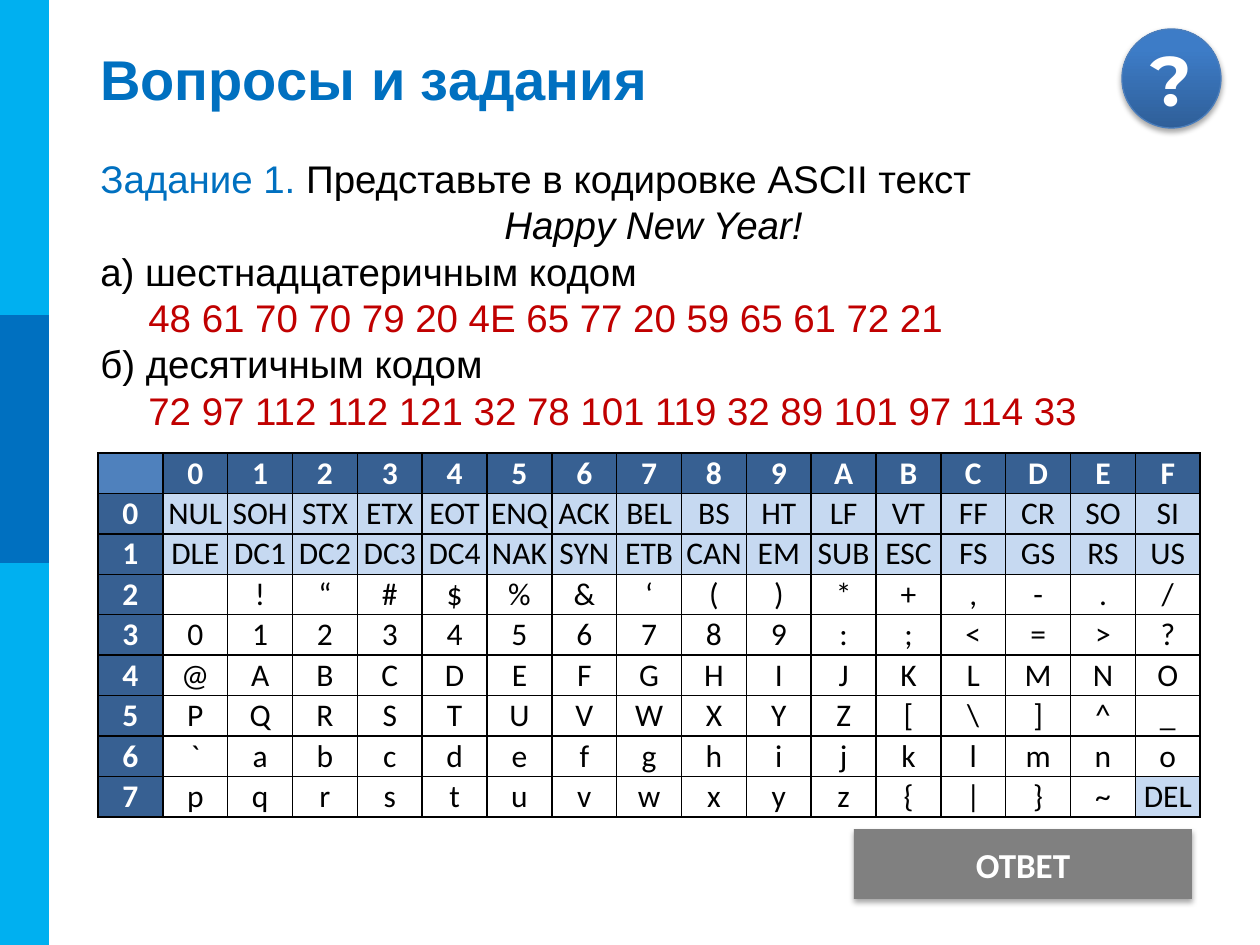
from lxml.etree import SubElement
from pptx import Presentation
from pptx.dml.color import RGBColor
from pptx.enum.shapes import MSO_SHAPE
from pptx.enum.text import MSO_ANCHOR, PP_ALIGN
from pptx.oxml.ns import qn
from pptx.util import Pt

EMU_PER_PX = 914400 / 126
BLUE, RED, BLACK, WHITE = "0070C0", "C00000", "000000", "FFFFFF"
NAVY, PALE, CORNER = "376092", "C6D9F1", "4F81BD"
LINE_HEIGHT = 26.4

HEX_DIGITS = "0123456789ABCDEF"
ASCII_ROWS = [
    "NUL SOH STX ETX EOT ENQ ACK BEL BS HT LF VT FF CR SO SI".split(),
    "DLE DC1 DC2 DC3 DC4 NAK SYN ETB CAN EM SUB ESC FS GS RS US".split(),
    [""] + list("!“#$%&‘()*+,-./"),
    list("0123456789:;<=>?"),
    list("@ABCDEFGHIJKLMNO"),
    list("PQRSTUVWXYZ[\\]^_"),
    list("`abcdefghijklmno"),
    list("pqrstuvwxyz{|}~") + ["DEL"],
]


def px(value):
    return round(value * EMU_PER_PX)


def color(value):
    return RGBColor.from_string(value)


class SlideBuilder:
    font_name = "Arial"
    table_font = "Calibri"

    def __init__(self, slide):
        self.slide = slide

    def style(self, font, size, tint, bold=False, name=None, italic=False):
        font.name = name or self.font_name
        font.size = Pt(size)
        font.bold = bold
        font.italic = italic
        font.color.rgb = color(tint)

    def shape(self, kind, left, top, width, height, fill):
        shape = self.slide.shapes.add_shape(kind, px(left), px(top), px(width), px(height))
        shape.shadow.inherit = False
        shape.fill.solid()
        shape.fill.fore_color.rgb = color(fill)
        shape.line.fill.background()
        return shape

    def drop_shadow(self, shape):
        effects = shape._element.spPr.find(qn("a:effectLst"))
        shadow = SubElement(effects, qn("a:outerShdw"), blurRad="40000", dist="23000",
                            dir="5400000", rotWithShape="0")
        tint = SubElement(shadow, qn("a:srgbClr"), val=BLACK)
        SubElement(tint, qn("a:alpha"), val="35000")

    def label(self, shape, text, size, name):
        text_frame = shape.text_frame
        text_frame.text = text
        text_frame.vertical_anchor = MSO_ANCHOR.MIDDLE
        paragraph = text_frame.paragraphs[0]
        paragraph.alignment = PP_ALIGN.CENTER
        self.style(paragraph.runs[0].font, size, WHITE, True, name)

    def text_box(self, left, top, width, height):
        shape = self.slide.shapes.add_textbox(px(left), px(top), px(width), px(height))
        shape.text_frame.word_wrap = True
        return shape.text_frame

    def title(self, text, left, top, width, height):
        text_frame = self.text_box(left, top, width, height)
        text_frame.vertical_anchor = MSO_ANCHOR.MIDDLE
        text_frame.text = text
        self.style(text_frame.paragraphs[0].runs[0].font, 32, BLUE, True)

    def lines(self, rows, left, top, width, height):
        text_frame = self.text_box(left, top, width, height)
        for index, (alignment, gap_lines, runs) in enumerate(rows):
            paragraph = text_frame.paragraphs[0] if index == 0 else text_frame.add_paragraph()
            paragraph.alignment = alignment
            paragraph.line_spacing = Pt(LINE_HEIGHT)
            if gap_lines:
                paragraph.space_before = Pt(LINE_HEIGHT * gap_lines)
            for text, tint, italic in runs:
                run = paragraph.add_run()
                run.text = text
                self.style(run.font, 22, tint, italic=italic)

    def cell(self, cell, text, tint, bold, fill):
        cell.margin_left = cell.margin_right = cell.margin_top = cell.margin_bottom = 0
        cell.vertical_anchor = MSO_ANCHOR.MIDDLE
        properties = cell._tc.get_or_add_tcPr()
        for side in ("lnL", "lnR", "lnT", "lnB"):
            border = SubElement(properties, qn("a:" + side), w=str(Pt(1)))
            border_fill = SubElement(border, qn("a:solidFill"))
            SubElement(border_fill, qn("a:srgbClr"), val=BLACK)
        if fill:
            cell.fill.solid()
            cell.fill.fore_color.rgb = color(fill)
        else:
            cell.fill.background()
        cell.text_frame.text = text
        paragraph = cell.text_frame.paragraphs[0]
        paragraph.alignment = PP_ALIGN.CENTER
        if paragraph.runs:
            self.style(paragraph.runs[0].font, 18, tint, bold, self.table_font)
        else:
            SubElement(paragraph._p, qn("a:endParaRPr"), sz="1800")

    def ascii_table(self, left, top, width, height):
        rows = [[""] + list(HEX_DIGITS)]
        rows += [[str(number)] + symbols for number, symbols in enumerate(ASCII_ROWS)]
        frame = self.slide.shapes.add_table(len(rows), len(rows[0]),
                                            px(left), px(top), px(width), px(height))
        for row_index, row in enumerate(rows):
            for column_index, text in enumerate(row):
                header = row_index == 0 or column_index == 0
                if header:
                    fill = NAVY if text else CORNER
                else:
                    fill = PALE if row_index <= 2 or text == "DEL" else None
                self.cell(frame.table.cell(row_index, column_index), text,
                          WHITE if header else BLACK, header, fill)

    def question_badge(self, left, top, size):
        badge = self.shape(MSO_SHAPE.OVAL, left, top, size, size, BLUE)
        badge.fill.gradient()
        badge.fill.gradient_angle = 90
        for stop, position, tint in zip(badge.fill.gradient_stops, (0, 0.8), ("2F5F99", "3D7CC7")):
            stop.position = position
            stop.color.rgb = color(tint)
        badge.line.color.rgb = color("4B7EBC")
        badge.line.width = Pt(0.75)
        self.drop_shadow(badge)
        self.label(badge, "?", 40, "Montserrat")

    def answer_button(self, left, top, width, height):
        button = self.shape(MSO_SHAPE.RECTANGLE, left, top, width, height, "808080")
        self.drop_shadow(button)
        self.label(button, "ОТВЕТ", 20, self.table_font)


def main():
    presentation = Presentation()
    presentation.slide_width = px(1260)
    presentation.slide_height = px(945)
    builder = SlideBuilder(presentation.slides.add_slide(presentation.slide_layouts[6]))

    builder.shape(MSO_SHAPE.RECTANGLE, 0, 0, 49, 945, "00B0F0")
    builder.shape(MSO_SHAPE.RECTANGLE, 0, 315, 49, 248, BLUE)
    builder.question_badge(1122, 29, 99)
    builder.title("Вопросы и задания", 88, 38, 1137, 81)
    builder.lines([
        (PP_ALIGN.JUSTIFY, 0, [("Задание 1. ", BLUE, False),
                               ("Представьте в кодировке ASCII текст", BLACK, False)]),
        (PP_ALIGN.CENTER, 0, [("Happy New Year!", BLACK, True)]),
        (PP_ALIGN.JUSTIFY, 0, [("а) шестнадцатеричным кодом", BLACK, False)]),
        (PP_ALIGN.JUSTIFY, 1, [("б) десятичным кодом", BLACK, False)]),
    ], 88, 149, 1131, 315)
    builder.ascii_table(98, 453, 1103, 364)
    builder.lines([
        (PP_ALIGN.LEFT, 0, [("48 61 70 70 79 20 4E 65 77 20 59 65 61 72 21", RED, False)]),
        (PP_ALIGN.LEFT, 1, [("72 97 112 112 121 32 78 101 119 32 89 101 97 114 33", RED, False)]),
    ], 136, 288, 1053, 152)
    builder.answer_button(854, 829, 338, 70)
    presentation.save("out.pptx")


if __name__ == "__main__":
    main()
